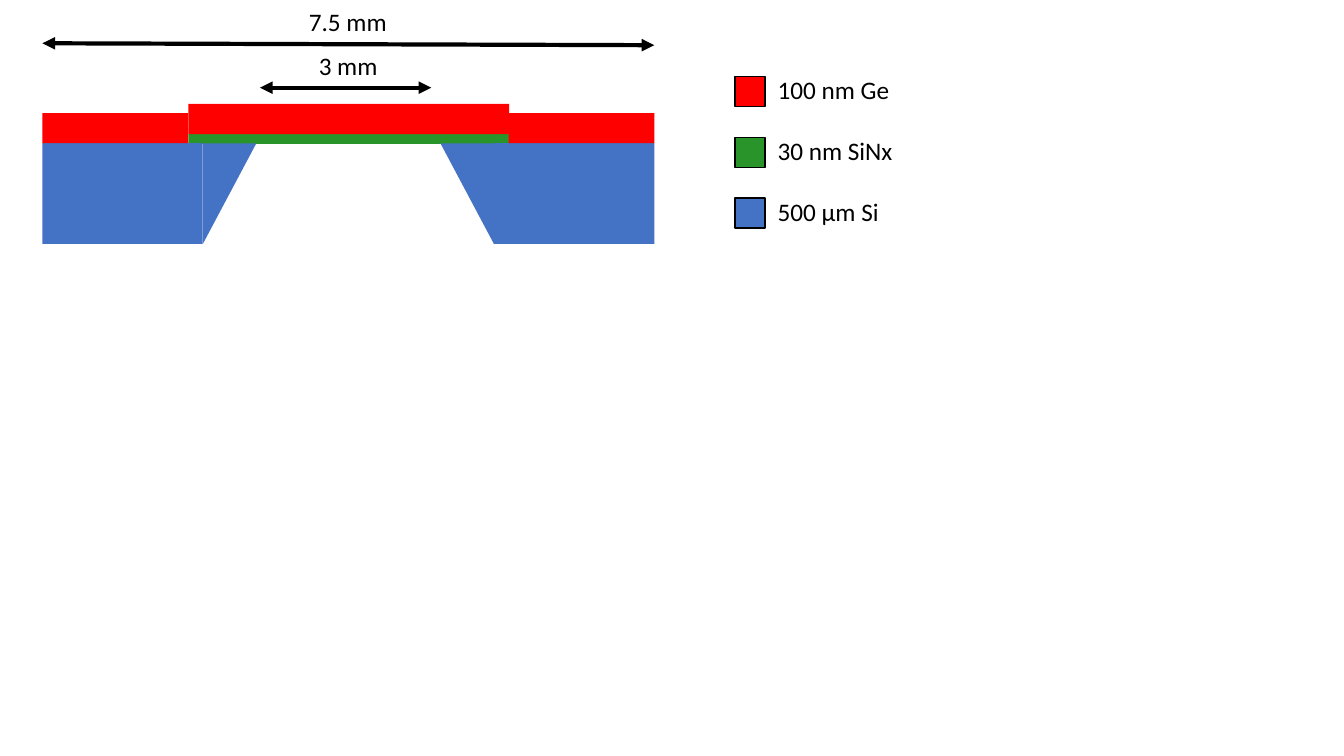
"""Build a slide with the cross-section of a coated silicon membrane."""
from lxml.etree import SubElement
from pptx import Presentation
from pptx.dml.color import RGBColor
from pptx.enum.shapes import MSO_CONNECTOR, MSO_SHAPE
from pptx.enum.text import MSO_AUTO_SIZE, PP_ALIGN
from pptx.oxml.ns import qn
from pptx.util import Cm, Pt

COLORS = {"germanium": "FF0000", "nitride": "299429", "silicon": "4472C4", "ink": "000000"}
LEGEND = {"germanium": "100 nm Ge", "nitride": "30 nm SiNx", "silicon": "500 μm Si"}


def write_lines(frame, lines, font="Calibri", size=18, color="ink", align=PP_ALIGN.LEFT, gap=0):
    """Write one paragraph per line, with the gap in points between them."""
    for index, line in enumerate(lines):
        para = frame.add_paragraph() if index else frame.paragraphs[0]
        para.alignment = align
        para.space_before = Pt(gap if index else 0)
        span = para.add_run()
        span.text = line
        span.font.name = font
        span.font.size = Pt(size)
        span.font.color.rgb = RGBColor.from_string(COLORS[color])


class Diagram:
    """Holds the colours and the group being drawn on the current slide."""

    def __init__(self, page, colors):
        """Start an empty group on the page."""
        self.shapes = page.shapes.add_group_shape().shapes
        self.colors = {name: RGBColor.from_string(value) for name, value in colors.items()}

    def block(self, material, left, top, width, height, kind=MSO_SHAPE.RECTANGLE, outline=False):
        """Draw a filled block of a material."""
        shape = self.shapes.add_shape(kind, Cm(left), Cm(top), Cm(width), Cm(height))
        shape.shadow.inherit = False
        shape.fill.solid()
        shape.fill.fore_color.rgb = self.colors[material]
        if outline:
            shape.line.color.rgb = self.colors["ink"]
            shape.line.width = Pt(1)
        else:
            shape.line.fill.background()
        return shape

    def slope(self, left, top, width, height, rotation):
        """Draw a right-angled silicon triangle, turned by the rotation."""
        shape = self.block("silicon", left, top, width, height, MSO_SHAPE.ISOSCELES_TRIANGLE)
        shape.adjustments[0] = 1
        shape.rotation = rotation

    def text(self, lines, left, top, width, height, wrap=True, **style):
        """Add a text box with one paragraph per line."""
        box = self.shapes.add_textbox(Cm(left), Cm(top), Cm(width), Cm(height))
        box.text_frame.word_wrap = wrap
        box.text_frame.auto_size = MSO_AUTO_SIZE.SHAPE_TO_FIT_TEXT
        write_lines(box.text_frame, lines, **style)

    def arrow(self, start, end):
        """Draw a dimension line with a head at both ends."""
        line = self.shapes.add_connector(MSO_CONNECTOR.STRAIGHT, *map(Cm, start + end))
        line.line.color.rgb = self.colors["ink"]
        line.line.width = Pt(3)
        outline = line.line._get_or_add_ln()
        for tag in ("a:headEnd", "a:tailEnd"):
            SubElement(outline, qn(tag), type="triangle")
        SubElement(line._element.spPr, qn("a:effectLst"))


def main():
    """Build and save the deck."""
    deck = Presentation()
    deck.slide_width, deck.slide_height = Cm(33.87), Cm(19.05)
    page = deck.slides.add_slide(deck.slide_layouts[6])
    diagram = Diagram(page, COLORS)

    left, right, surface = 1.07, 16.49, 3.61
    wafer_width, wafer_height, slope_width = 4.04, 2.54, 1.35
    film_height, film_width = 0.76, 3.67
    membrane_left, membrane_width = 4.75, 8.08

    diagram.block("nitride", membrane_left, 3.38, membrane_width, 0.25)
    diagram.block("germanium", membrane_left, 2.62, membrane_width, film_height)
    for edge in (left, right - wafer_width):
        diagram.block("silicon", edge, surface, wafer_width, wafer_height)
    for edge in (left, right - film_width):
        diagram.block("germanium", edge, 2.85, film_width, film_height)
    diagram.slope(left + wafer_width, surface, slope_width, wafer_height, 180)
    turn = (wafer_height - slope_width) / 2
    diagram.slope(right - wafer_width - slope_width - turn, surface + turn,
                  wafer_height, slope_width, 270)

    for row, material in enumerate(LEGEND):
        diagram.block(material, 18.52, 1.93 + row * 1.53, 0.76, 0.76, outline=True)
    diagram.text(LEGEND.values(), 19.35, 1.75, 4.34, 4.11, gap=22)

    diagram.text(["3 mm"], 7.77, 1.14, 2.01, 1.02, wrap=False, align=PP_ALIGN.CENTER)
    diagram.arrow((6.55, 2.21), (10.87, 2.21))
    diagram.text(["7.5 mm"], 7.52, 0.03, 2.49, 1.02, wrap=False, align=PP_ALIGN.CENTER)
    diagram.arrow((left, 1.09), (right, 1.14))
    deck.save("out.pptx")


if __name__ == "__main__":
    main()
